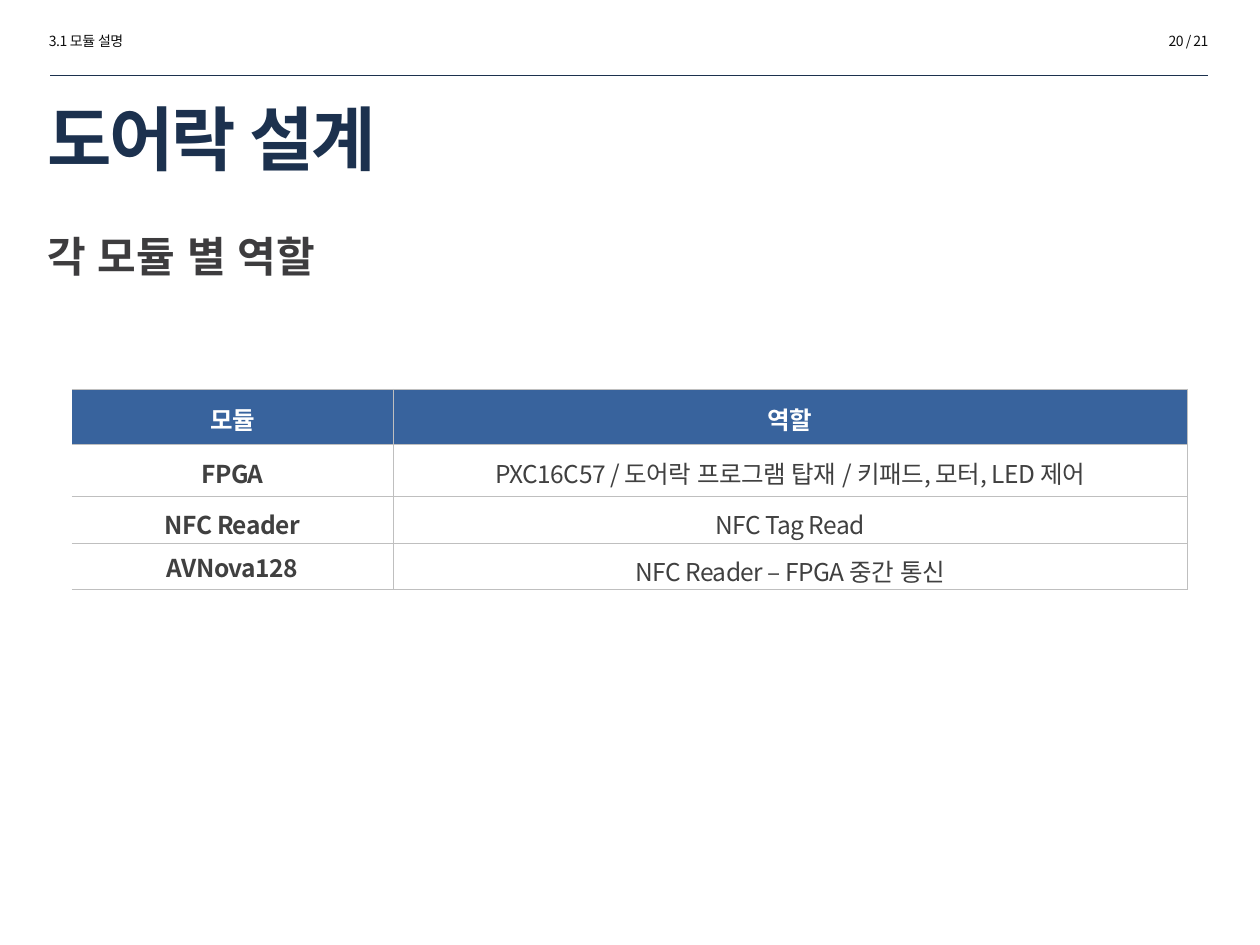
from lxml.etree import SubElement
from pptx import Presentation
from pptx.dml.color import RGBColor
from pptx.enum.shapes import MSO_CONNECTOR
from pptx.enum.text import MSO_ANCHOR, PP_ALIGN
from pptx.oxml import parse_xml
from pptx.oxml.ns import nsdecls, qn
from pptx.util import Inches, Pt

COLORS = {"navy": "1C314E", "ink": "0D0D0D", "subtitle": "3D3C3E", "body": "404040",
          "header": "38639D", "white": "FFFFFF", "border": "BFBFBF"}
FONT = "Noto Sans CJK KR"
ROWS = [("모듈", "역할"),
        ("FPGA", "PXC16C57 / 도어락 프로그램 탑재 / 키패드, 모터, LED 제어"),
        ("NFC Reader", "NFC Tag Read"),
        ("AVNova128", "NFC Reader – FPGA 중간 통신")]


class SlideBuilder:
    def __init__(self, prs):
        self.prs = prs
        self.s = prs.slides.add_slide(prs.slide_layouts[5])

    def box(self, x, y, w, h):
        width, height = self.prs.slide_width, self.prs.slide_height
        return int(x * width), int(y * height), int(w * width), int(h * height)

    def fill_text(self, tf, text, size, color, bold=False, align=PP_ALIGN.LEFT, spc=0):
        tf.word_wrap = True
        p = tf.paragraphs[0]
        p.alignment = align
        r = p.add_run()
        r.text = text
        r.font.size, r.font.bold, r.font.name = Pt(size), bold, FONT
        r.font.color.rgb = RGBColor.from_string(COLORS[color])
        rPr = r._r.get_or_add_rPr()
        rPr.set("spc", str(int(spc * 100)))
        rPr.set("lang", "ko-KR")
        rPr.find(qn("a:latin")).addnext(
            parse_xml(f'<a:ea {nsdecls("a")} typeface="{FONT}"/>'))
        return p

    def title(self, text, *box):
        sp = self.s.shapes.title
        sp.left, sp.top, sp.width, sp.height = self.box(*box)
        sp.text_frame.vertical_anchor = MSO_ANCHOR.MIDDLE
        self.fill_text(sp.text_frame, text, 40, "navy", True, spc=-1.5)

    def text(self, text, box, *style, **options):
        sp = self.s.shapes.add_textbox(*self.box(*box))
        return self.fill_text(sp.text_frame, text, *style, **options)

    def rule(self, x1, x2, y):
        left, top, right, _ = self.box(x1, y, x2, 0)
        line = self.s.shapes.add_connector(MSO_CONNECTOR.STRAIGHT, left, top, right, top)
        line.line.color.rgb = RGBColor.from_string(COLORS["navy"])
        line.line.width = Pt(0.25)
        SubElement(line._element.spPr, qn("a:effectLst"))

    def borders(self, cell, hidden):
        tcPr = cell._tc.get_or_add_tcPr()
        for i, side in enumerate("LRTB"):
            paint = ("<a:noFill/>" if side in hidden else
                     f'<a:solidFill><a:srgbClr val="{COLORS["border"]}"/></a:solidFill>')
            tcPr.insert(i, parse_xml(
                f'<a:ln{side} {nsdecls("a")} w="{int(Pt(0.5))}">{paint}</a:ln{side}>'))

    def table(self, rows, box, columns, heights):
        table = self.s.shapes.add_table(len(rows), len(columns), *self.box(*box)).table
        table.horz_banding = table.first_row = False
        for column, width in zip(table.columns, columns):
            column.width = Inches(width)
        for i, (values, height) in enumerate(zip(rows, heights)):
            table.rows[i].height = Inches(height)
            for j, value in enumerate(values):
                cell = table.cell(i, j)
                cell.vertical_anchor = MSO_ANCHOR.MIDDLE
                cell.fill.solid()
                cell.fill.fore_color.rgb = RGBColor.from_string(
                    COLORS["white" if i else "header"])
                p = self.fill_text(cell.text_frame, value, 14, "body" if i else "white",
                                   i == 0 or j == 0, PP_ALIGN.CENTER, -0.3)
                last_label = i == len(rows) - 1 and j == 0
                p.line_spacing = 1.0 if last_label else 1.1
                self.borders(cell, "" if j else "L")


def main():
    prs = Presentation()
    prs.slide_width, prs.slide_height = Inches(10), Inches(7.5)
    page = SlideBuilder(prs)
    page.text("3.1 모듈 설명", (0.029, 0.028, 0.173, 0.032), 8, "ink", spc=-0.3)
    page.rule(0.04, 0.959, 0.08)
    page.title("도어락 설계", 0.028, 0.103, 0.765, 0.085)
    page.text("20 / 21", (0.796, 0.028, 0.173, 0.032), 8, "ink",
              align=PP_ALIGN.RIGHT, spc=-0.3)
    p = page.text("각 모듈 별 역할", (0.028, 0.237, 0.926, 0.185), 24, "subtitle", True)
    p.space_before = Pt(4.8)
    page.table(ROWS, (0.057, 0.412, 0.885, 0.213), (2.55, 6.3), (0.44, 0.41, 0.37, 0.37))
    prs.save("out.pptx")


if __name__ == "__main__":
    main()
